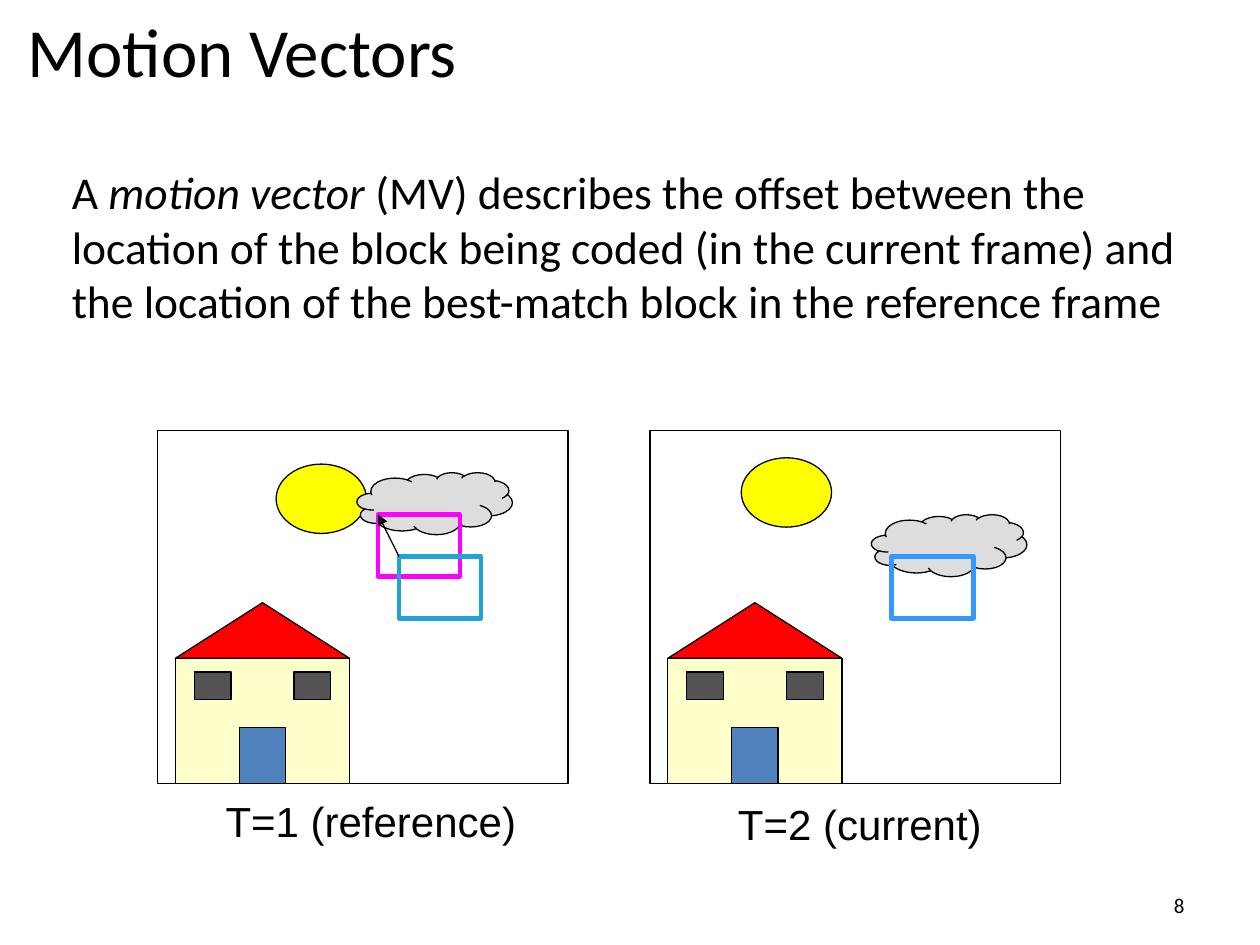
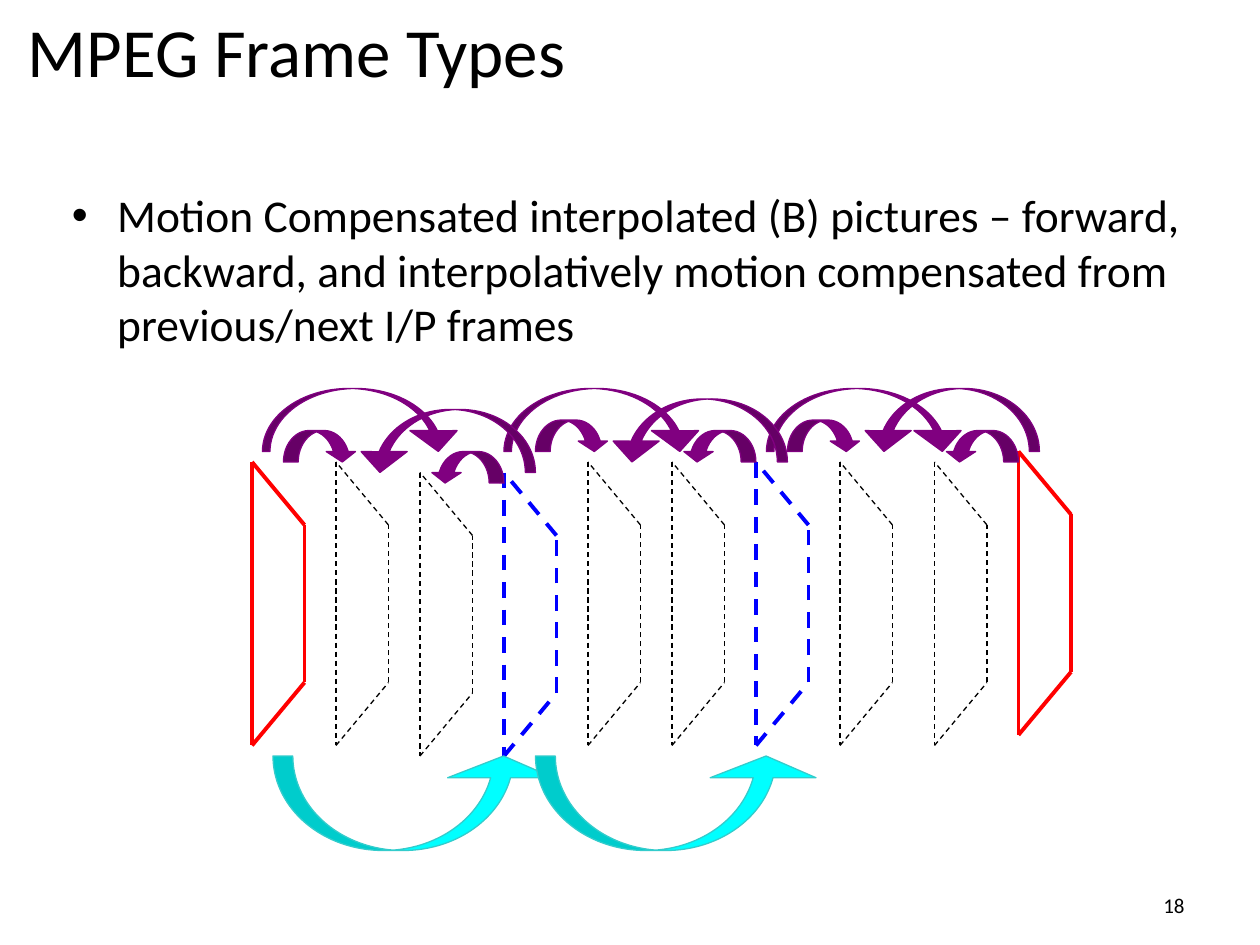
from dataclasses import dataclass

from lxml import etree
from pptx import Presentation
from pptx.dml.color import RGBColor
from pptx.enum.dml import MSO_LINE
from pptx.enum.shapes import MSO_CONNECTOR, MSO_SHAPE as Preset
from pptx.enum.text import MSO_ANCHOR as Anchor, MSO_AUTO_SIZE as AutoSize, PP_ALIGN as Align
from pptx.oxml.ns import qn
from pptx.util import Inches, Pt

COLUMNS, ROWS = 120, 90
CELL = Inches(10) // COLUMNS


@dataclass(frozen=True)
class Theme:
    """Colours, fonts and sizes shared by the slides."""
    ink: str = "000000"
    sun: str = "FFFF00"
    cloud: str = "DDDDDD"
    wall: str = "FFFFCC"
    door: str = "4F81BD"
    window: str = "535353"
    roof: str = "FF0000"
    match: str = "FF00FF"
    coded_reference: str = "21A3D7"
    coded_current: str = "3399FF"
    intra: str = "FF0000"
    predicted: str = "0000FF"
    forward: str = "00FFFF"
    forward_edge: str = "33CCCC"
    bidirectional: str = "800080"
    body_font: str = "Calibri"
    caption_font: str = "Arial"
    title_size: float = 39.4
    body_size: float = 26
    caption_size: float = 24
    number_size: float = 12
    thin: float = 0.75
    medium: float = 2.25
    thick: float = 2.5


THEME = Theme()
FRAME_SIZE = (39.1, 33.6)
BLOCK_SIZE = (7.8, 5.9)
CODED_BLOCK = (23, 12)
MOTION_VECTOR = (-2, -4)
FRAME_STYLES = {
    "I": (THEME.intra, THEME.medium, None),
    "P": (THEME.predicted, THEME.medium, MSO_LINE.DASH),
    "B": (THEME.ink, THEME.thin, MSO_LINE.DASH),
}


def cells(*values):
    """Convert grid cells to slide lengths."""
    return [round(value * CELL) for value in values]


def shift(origin, offset):
    """Move a grid point by an offset."""
    return origin[0] + offset[0], origin[1] + offset[1]


def add_span(para, text, size, font=THEME.body_font, italic=False):
    """Add one formatted run."""
    span = para.add_run()
    span.text = text
    span.font.size = Pt(size)
    span.font.name = font
    span.font.italic = italic
    span.font.color.rgb = RGBColor.from_string(THEME.ink)


def set_insets(frame, inset):
    """Give a text frame equal insets on all sides, in inches."""
    frame.margin_left = frame.margin_right = Inches(inset)
    frame.margin_top = frame.margin_bottom = Inches(inset)


def add_text_box(page, at, size):
    """Add a wrapping text box and return its frame."""
    box = page.shapes.add_textbox(*cells(*at, *size))
    box.text_frame.word_wrap = True
    return box.text_frame


def add_page(deck, title, number):
    """Add a title-only page with its title and page number."""
    page = deck.slides.add_slide(deck.slide_layouts[5])
    holder = page.shapes.title
    holder.left, holder.top, holder.width, holder.height = cells(1.8, 0, 108, 9.6)
    frame = holder.text_frame
    frame.auto_size = AutoSize.NONE
    frame.vertical_anchor = Anchor.MIDDLE
    set_insets(frame, 0.07)
    frame.paragraphs[0].alignment = Align.LEFT
    add_span(frame.paragraphs[0], title, THEME.title_size)
    frame = add_text_box(page, (86, 82), (28, 6))
    frame.vertical_anchor = Anchor.BOTTOM
    frame.paragraphs[0].alignment = Align.RIGHT
    add_span(frame.paragraphs[0], number, THEME.number_size)
    return page


def add_body(page, top, spans, bullet=False):
    """Add the body paragraph from (text, italic) pairs."""
    frame = add_text_box(page, (6, top), (108, 63.5))
    set_insets(frame, 0.07)
    para = frame.paragraphs[0]
    if bullet:
        settings = para._p.get_or_add_pPr()
        settings.set("marL", str(Inches(0.36)))
        settings.set("indent", str(-Inches(0.36)))
        etree.SubElement(settings, qn("a:buFont")).set("typeface", "Arial")
        etree.SubElement(settings, qn("a:buChar")).set("char", "•")
    for text, italic in spans:
        add_span(para, text, THEME.body_size, italic=italic)


def add_caption(page, at, width, text):
    """Label a scene."""
    frame = add_text_box(page, at, (width, 6))
    add_span(frame.paragraphs[0], text, THEME.caption_size, THEME.caption_font)


def add_figure(page, preset, at, size, fill=None, line=THEME.ink, weight=THEME.thin):
    """Add a preset shape on the grid."""
    shape = page.shapes.add_shape(preset, *cells(*at, *size))
    shape.shadow.inherit = False
    if fill:
        shape.fill.solid()
        shape.fill.fore_color.rgb = RGBColor.from_string(fill)
    else:
        shape.fill.background()
    shape.line.color.rgb = RGBColor.from_string(line)
    shape.line.width = Pt(weight)
    return shape


def add_line(owner, start, end, colour, weight, dash=None, arrow=False):
    """Add a straight line to a page or group."""
    line = owner.shapes.add_connector(MSO_CONNECTOR.STRAIGHT, *cells(*start, *end))
    line.line.color.rgb = RGBColor.from_string(colour)
    line.line.width = Pt(weight)
    if dash:
        line.line.dash_style = dash
    if arrow:
        etree.SubElement(line.line._get_or_add_ln(), qn("a:tailEnd")).set("type", "triangle")
    etree.SubElement(line._element.spPr, qn("a:effectLst"))


def add_scene(page, origin, sun, cloud):
    """Draw a video frame with a house, a sun and a cloud."""
    parts = [
        (Preset.OVAL, sun, (8.6, 6.6), THEME.sun),
        (Preset.RECTANGLE, (0, 0), FRAME_SIZE, None),
        (Preset.RECTANGLE, (1.7, 21.7), (16.6, 11.9), THEME.wall),
        (Preset.RECTANGLE, (7.8, 28.3), (4.4, 5.3), THEME.door),
        (Preset.RECTANGLE, (3.5, 23), (3.5, 2.6), THEME.window),
        (Preset.RECTANGLE, (13, 23), (3.5, 2.6), THEME.window),
        (Preset.ISOSCELES_TRIANGLE, (1.7, 16.4), (16.6, 5.3), THEME.roof),
        (Preset.CLOUD, cloud, (14.8, 5.9), THEME.cloud),
    ]
    for preset, offset, size, fill in parts:
        add_figure(page, preset, shift(origin, offset), size, fill)


def add_block(page, at, colour):
    """Outline a macroblock."""
    add_figure(page, Preset.RECTANGLE, at, BLOCK_SIZE, line=colour, weight=THEME.thick)


def add_picture_frame(page, left, top, kind):
    """Draw a frame in perspective as a group of four lines."""
    group = page.shapes.add_group_shape()
    corners = [(left, top), (left, top + 27), (left + 5, top + 21), (left + 5, top + 6)]
    for start, end in zip(corners, corners[1:] + corners[:1]):
        add_line(group, start, end, *FRAME_STYLES[kind])


def add_arcs(page, preset, places, size, adjustments, fill, line, flip=False):
    """Add equal curved arrows at several places."""
    for at in places:
        arc = add_figure(page, preset, at, size, fill, line)
        for index, value in enumerate(adjustments):
            arc.adjustments[index] = value
        if flip:
            arc._element.spPr.find(qn("a:xfrm")).set("flipH", "1")


def build_motion_vectors(deck):
    """Build the page that explains motion vectors."""
    page = add_page(deck, "Motion Vectors", "8")
    add_body(page, 14.8, [
        ("A ", False),
        ("motion vector", True),
        (" (MV) describes the offset between the location of the block being coded "
         "(in the current frame) and the location of the best-match block in the "
         "reference frame", False),
    ])
    reference, current = (15, 41), (61.9, 41)
    add_scene(page, reference, sun=(11.3, 3.2), cloud=(19, 4))
    add_scene(page, current, sun=(8.7, 2.6), cloud=(21.1, 8))
    add_caption(page, (20.3, 75.2), 36.7, "T=1 (reference)")
    add_caption(page, (69.1, 75.5), 29.6, "T=2 (current)")
    coded = shift(reference, CODED_BLOCK)
    match = shift(coded, MOTION_VECTOR)
    add_block(page, shift(current, CODED_BLOCK), THEME.coded_current)
    add_block(page, match, THEME.match)
    add_block(page, coded, THEME.coded_reference)
    add_line(page, coded, match, THEME.ink, THEME.thin, arrow=True)


def build_frame_types(deck):
    """Build the page that shows the frame sequence."""
    page = add_page(deck, "MPEG Frame Types", "18")
    add_body(page, 17, [
        ("Motion Compensated interpolated (B) pictures – forward, backward, and "
         "interpolatively motion compensated from previous/next I/P frames", False),
    ], bullet=True)
    lefts = (24, 32, 40, 48, 56, 64, 72, 80, 89, 97)
    tops = (44, 44, 45, 45, 44, 44, 44, 44, 44, 43)
    for left, top, kind in zip(lefts, tops, "IBBPBBPBBI"):
        add_picture_frame(page, left, top, kind)
    add_arcs(page, Preset.CURVED_UP_ARROW, [(26, 72), (51, 72)], (27, 9),
             (0.21, 1.12, 0.23), THEME.forward, THEME.forward_edge)
    short, short_bend = (7, 3), (0.47, 0.93, 0.33)
    bends = [
        ([(27, 41), (51, 40), (75, 40)], short, short_bend, False),
        ([(25, 37), (48, 37), (73, 37)], (19, 6), (0.12, 0.75, 0.33), False),
        ([(41, 43), (65, 41), (90, 41)], short, short_bend, True),
        ([(34, 39), (58, 38), (82, 37)], (17, 6), (0.16, 0.73, 0.33), True),
    ]
    for places, size, adjustments, flip in bends:
        add_arcs(page, Preset.CURVED_DOWN_ARROW, places, size, adjustments,
                 THEME.bidirectional, THEME.bidirectional, flip)


def main():
    """Build and save the deck."""
    deck = Presentation()
    deck.slide_width, deck.slide_height = cells(COLUMNS, ROWS)
    build_motion_vectors(deck)
    build_frame_types(deck)
    deck.save("out.pptx")


if __name__ == "__main__":
    main()
